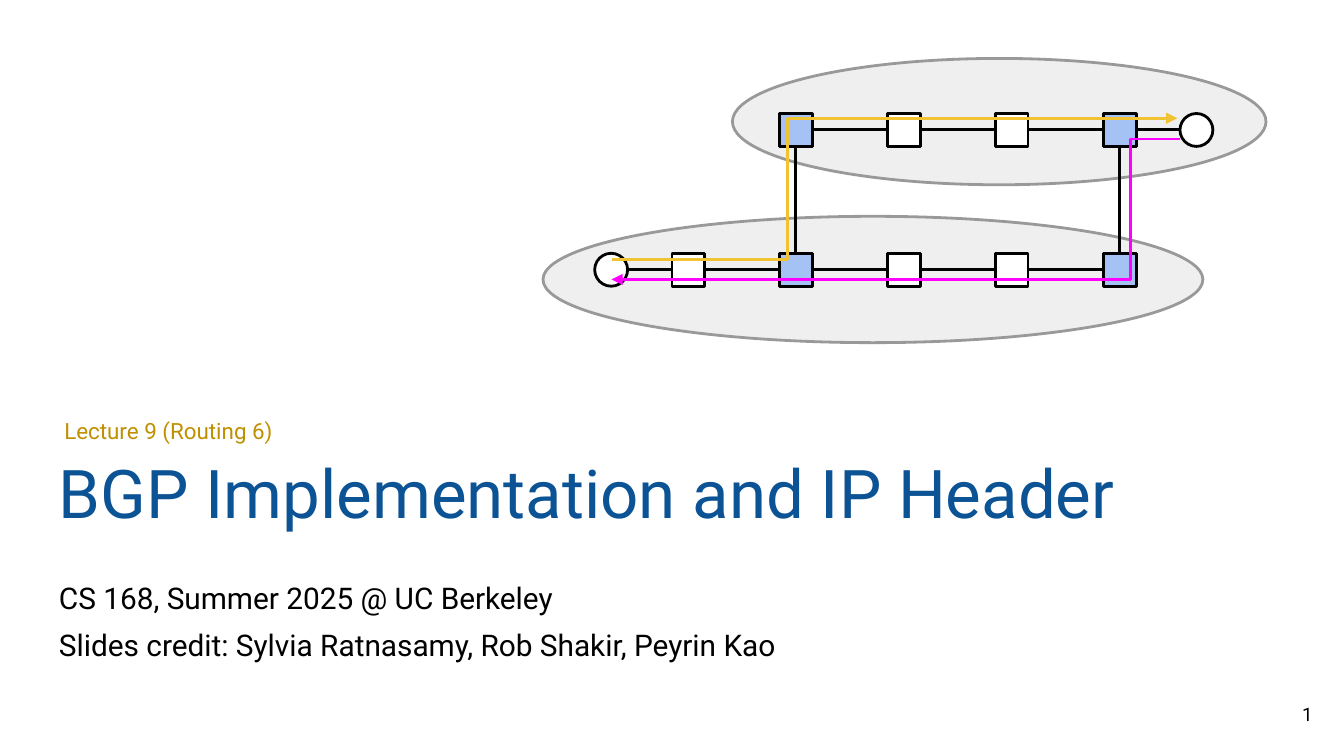
from lxml import etree
from pptx import Presentation
from pptx.dml.color import RGBColor
from pptx.enum.shapes import MSO_CONNECTOR, MSO_SHAPE
from pptx.enum.text import MSO_ANCHOR, PP_ALIGN
from pptx.oxml.ns import qn
from pptx.util import Pt

PX = 4572
OVAL, RECT = MSO_SHAPE.OVAL, MSO_SHAPE.RECTANGLE
LINE = MSO_CONNECTOR.STRAIGHT
TOP, MID, LOW = MSO_ANCHOR.TOP, MSO_ANCHOR.MIDDLE, MSO_ANCHOR.BOTTOM
LEFT, RIGHT = PP_ALIGN.LEFT, PP_ALIGN.RIGHT
HEX = {
    "black": "000000", "white": "FFFFFF", "title": "0B5394",
    "label": "BF9000", "cloud": "EFEFEF", "edge": "999999",
    "border": "A4C2F4", "pink": "FF00FF", "gold": "F1C232",
}
RGB = {name: RGBColor.from_string(code) for name, code in HEX.items()}

deck = Presentation()
deck.slide_width, deck.slide_height = 2000 * PX, 1125 * PX
slide = deck.slides.add_slide(deck.slide_layouts[6])
shapes = slide.shapes

texts = [
    ((1853, 1020, 120, 86), MID, RIGHT, 10, "black", ["1"]),
    ((68, 843, 1864, 144), TOP, LEFT, 16, "black",
     ["CS 168, Summer 2025 @ UC Berkeley",
      "Slides credit: Sylvia Ratnasamy, Rob Shakir, Peyrin Kao"]),
    ((68, 363, 1904, 448), LOW, LEFT, 36, "title",
     ["BGP Implementation and IP Header"]),
    ((76, 600, 604, 62), TOP, LEFT, 12, "label", ["Lecture 9 (Routing 6)"]),
]
for area, anchor, align, size, color, lines in texts:
    frame = shapes.add_textbox(*[n * PX for n in area]).text_frame
    frame.word_wrap = True
    frame.vertical_anchor = anchor
    frame.margin_left = frame.margin_right = 20 * PX
    frame.margin_top = frame.margin_bottom = 20 * PX
    for i, line in enumerate(lines):
        para = frame.add_paragraph() if i else frame.paragraphs[0]
        para.alignment = align
        if i:
            para.space_before = Pt(6)
        run = para.add_run()
        run.text = line
        run.font.name = "Roboto"
        run.font.size = Pt(size)
        run.font.color.rgb = RGB[color]


def add_node(kind, area, fill, edge="black"):
    node = shapes.add_shape(kind, *[n * PX for n in area])
    node.shadow.inherit = False
    node.fill.solid()
    node.fill.fore_color.rgb = RGB[fill]
    node.line.color.rgb = RGB[edge]
    node.line.width = Pt(1.5)


def add_link(*ends):
    link = shapes.add_connector(LINE, *[n * PX for n in ends])
    link.line.color.rgb = RGB["black"]
    link.line.width = Pt(1.5)
    etree.SubElement(link._element.spPr, qn("a:effectLst"))


for area in [(1090, 87, 794, 188), (808, 322, 982, 188)]:
    add_node(OVAL, area, "cloud", "edge")

SIDE, HALF = 49, 24
HIGH, DEEP = 169, 377
cols = [1000 + i * 1605 // 10 for i in range(5)]
rows = [(HIGH, cols[1:] + [1756], 1756), (DEEP, [885] + cols, 885)]
for y, spots, host in rows:
    for a, b in zip(spots, spots[1:]):
        add_link(a + SIDE, y + HALF, b, y + HALF)
    for x in spots:
        kind = OVAL if x == host else RECT
        fill = "border" if x in (cols[1], cols[4]) else "white"
        add_node(kind, (x, y, SIDE, SIDE), fill)
for x in (cols[1], cols[4]):
    add_link(x + HALF, HIGH + SIDE, x + HALF, DEEP)

routes = [
    ("pink", "a:headEnd", [(910, 416), (1682, 416), (1682, 207), (1756, 207)]),
    ("gold", "a:tailEnd", [(910, 386), (1172, 386), (1172, 176), (1752, 176)]),
]
for color, end, points in routes:
    pen = shapes.build_freeform(*points[0], scale=PX)
    pen.add_line_segments(points[1:], close=False)
    route = pen.convert_to_shape()
    route.shadow.inherit = False
    route.fill.background()
    route.line.color.rgb = RGB[color]
    route.line.width = Pt(1.5)
    etree.SubElement(route.line._get_or_add_ln(), qn(end), type="triangle")

deck.save("out.pptx")
